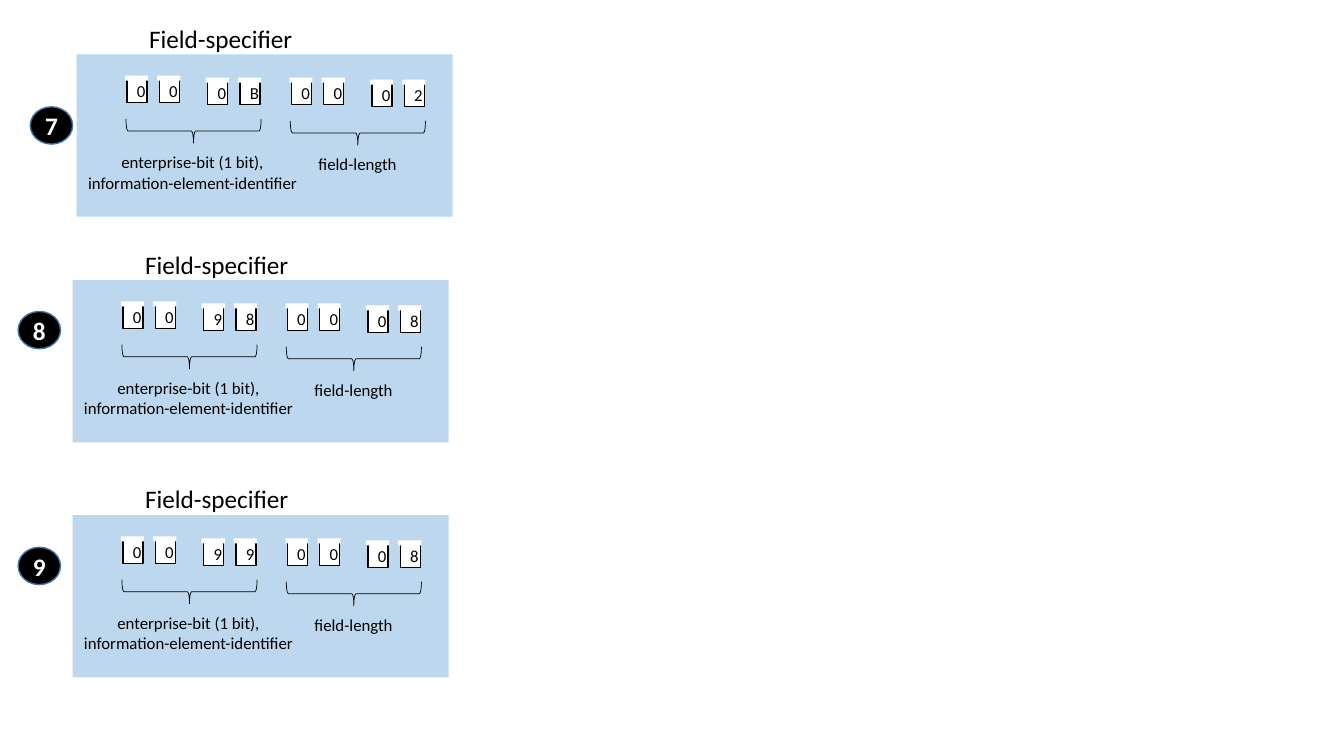
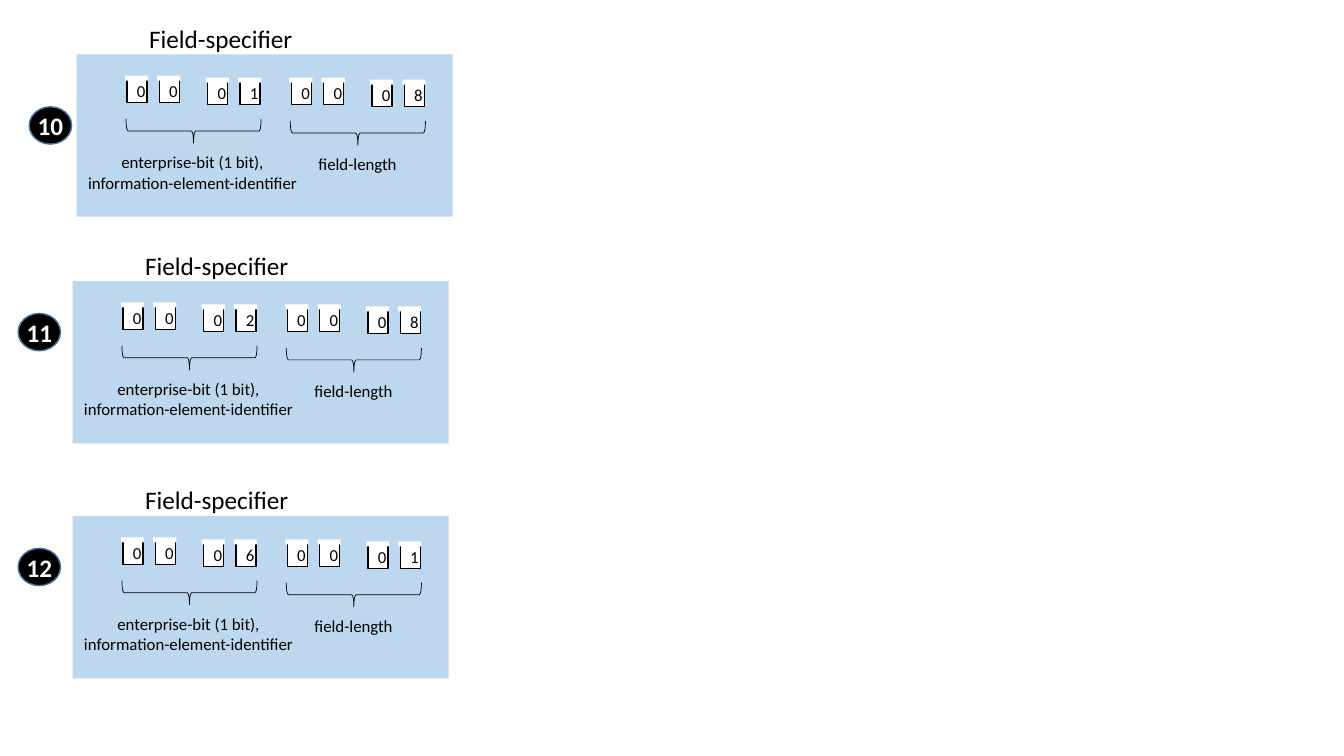
from dataclasses import dataclass

from pptx import Presentation
from pptx.dml.color import RGBColor
from pptx.enum.shapes import MSO_SHAPE
from pptx.enum.text import MSO_AUTO_SIZE, PP_ALIGN
from pptx.util import Inches, Pt


@dataclass(frozen=True)
class Theme:
    font: str = "Calibri"
    black: RGBColor = RGBColor(0x00, 0x00, 0x00)
    white: RGBColor = RGBColor(0xFF, 0xFF, 0xFF)
    panel: RGBColor = RGBColor(0xBD, 0xD7, 0xEE)
    badge_edge: RGBColor = RGBColor(0x43, 0x73, 0x9E)
    heading_size: Pt = Pt(18)
    body_size: Pt = Pt(12)
    edge: Pt = Pt(1)
    brace_edge: Pt = Pt(0.5)


THEME = Theme()

# Offsets in inches: fields from the panel corner, the rest from the first digit.
FIELDS = [
    # left, top, label, label left, label width, label height, alignment
    (0.5, 0.24, "enterprise-bit (1 bit),\ninformation-element-identifier",
     -0.5, 2.3, 0.5, PP_ALIGN.CENTER),
    (2.13, 0.26, "field-length", 0.17, 0.98, 0.3, PP_ALIGN.LEFT),
]
DIGIT_OFFSETS = [(0, 0), (0.32, 0), (0.8, 0.02), (1.12, 0.02)]

SLIDES = [
    # number, panel left and top, badge left and top, digits of each field
    [("7", 0.76, 0.54, 0.3, 1.06, ("000B", "0002")),
     ("8", 0.72, 2.78, 0.18, 3.09, ("0098", "0008")),
     ("9", 0.72, 5.11, 0.18, 5.43, ("0099", "0008"))],
    [("10", 0.76, 0.54, 0.29, 1.06, ("0001", "0008")),
     ("11", 0.72, 2.79, 0.18, 3.11, ("0002", "0008")),
     ("12", 0.72, 5.12, 0.18, 5.44, ("0006", "0001"))],
]


def add_figure(shapes, kind, left, top, width, height, fill=None, line=None, weight=THEME.edge):
    """Add a shadowless preset shape; without a fill or line colour that part is empty."""
    figure = shapes.add_shape(kind, Inches(left), Inches(top), Inches(width), Inches(height))
    figure.shadow.inherit = False
    if fill is None:
        figure.fill.background()
    else:
        figure.fill.solid()
        figure.fill.fore_color.rgb = fill
    if line is None:
        figure.line.fill.background()
    else:
        figure.line.color.rgb = line
        figure.line.width = weight
    return figure


def write(holder, text, size, color=THEME.black, align=PP_ALIGN.CENTER, bold=False, wrap=False):
    holder.text_frame.text = text
    holder.text_frame.word_wrap = wrap
    for paragraph in holder.text_frame.paragraphs:
        paragraph.alignment = align
        for run in paragraph.runs:
            run.font.name = THEME.font
            run.font.size = size
            run.font.bold = bold
            run.font.color.rgb = color


deck = Presentation()
deck.slide_width = Inches(13.33)
deck.slide_height = Inches(7.5)
blank_layout = deck.slide_layouts[6]

for specifiers in SLIDES:
    shapes = deck.slides.add_slide(blank_layout).shapes
    for number, left, top, badge_left, badge_top, field_digits in specifiers:
        add_figure(shapes, MSO_SHAPE.RECTANGLE, left, top, 3.73, 1.61, THEME.panel)

        for field, digits in zip(FIELDS, field_digits):
            dx, dy, meaning, label_dx, label_width, label_height, align = field
            x, y = left + dx, top + dy
            group = shapes.add_group_shape().shapes
            for digit, (digit_dx, digit_dy) in zip(digits, DIGIT_OFFSETS):
                digit_x, digit_y = x + digit_dx, y + digit_dy
                cell = add_figure(group, MSO_SHAPE.RECTANGLE, digit_x, digit_y, 0.2, 0.24,
                                  THEME.white, THEME.black)
                write(cell, digit, THEME.body_size, wrap=True)
                # A white strip hides the top edge, leaving the cell open.
                add_figure(group, MSO_SHAPE.RECTANGLE, digit_x - 0.02, digit_y - 0.03,
                           0.23, 0.05, THEME.white)
            brace = add_figure(group, MSO_SHAPE.LEFT_BRACE, x + 0.54, y - 0.15, 0.24, 1.34,
                               line=THEME.black, weight=THEME.brace_edge)
            brace.rotation = 270
            label = group.add_textbox(Inches(x + label_dx), Inches(y + 0.68),
                                      Inches(label_width), Inches(label_height))
            write(label, meaning, THEME.body_size, align=align)
            label.text_frame.auto_size = MSO_AUTO_SIZE.SHAPE_TO_FIT_TEXT

        heading = shapes.add_textbox(Inches(left + 0.62), Inches(top - 0.36),
                                     Inches(1.64), Inches(0.4))
        write(heading, "Field-specifier", THEME.heading_size, align=PP_ALIGN.LEFT)
        heading.text_frame.auto_size = MSO_AUTO_SIZE.SHAPE_TO_FIT_TEXT

        badge = add_figure(shapes, MSO_SHAPE.OVAL, badge_left, badge_top, 0.42, 0.37,
                           THEME.black, THEME.badge_edge)
        write(badge, number, THEME.heading_size, THEME.white, bold=True)

deck.save("out.pptx")
